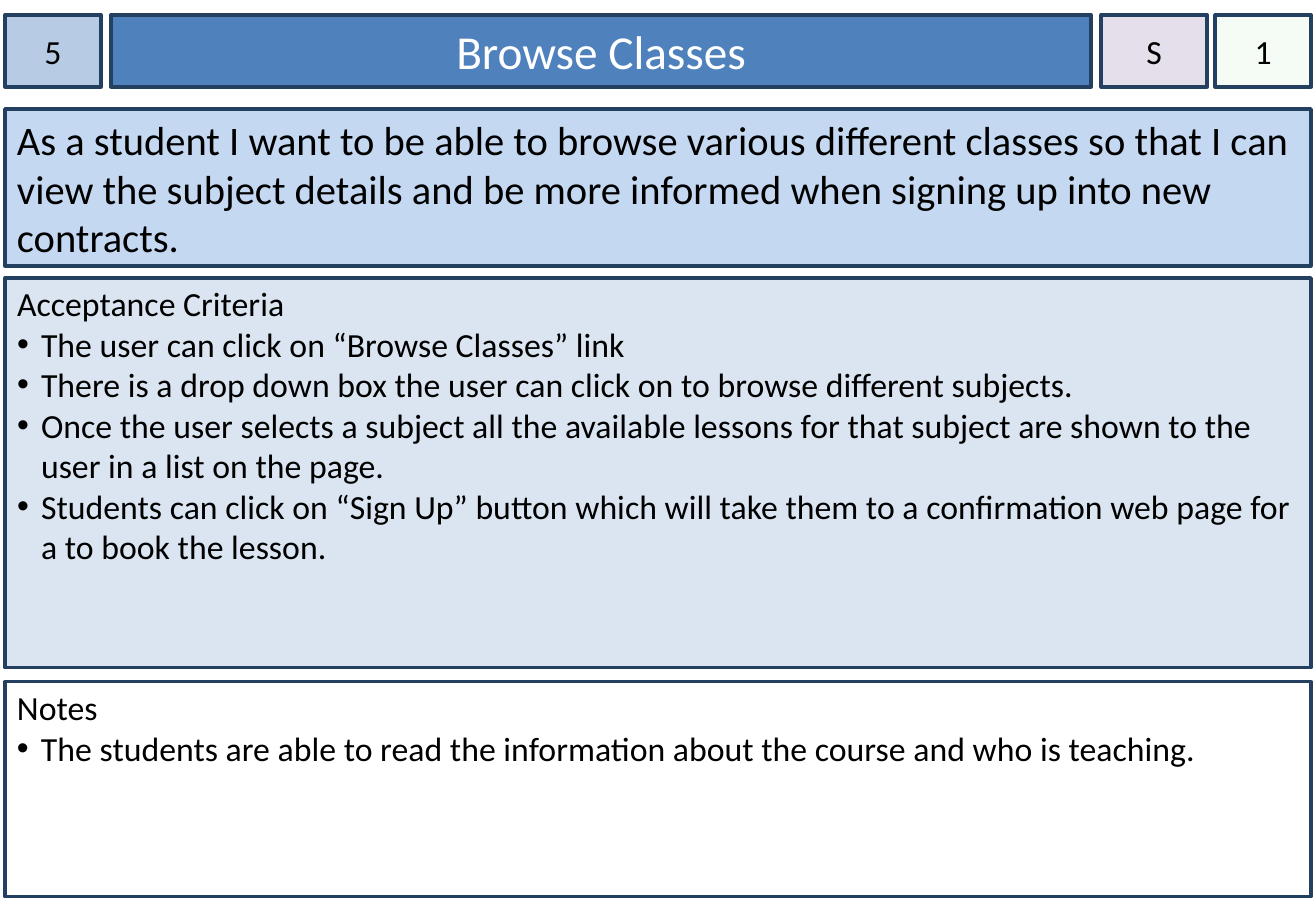
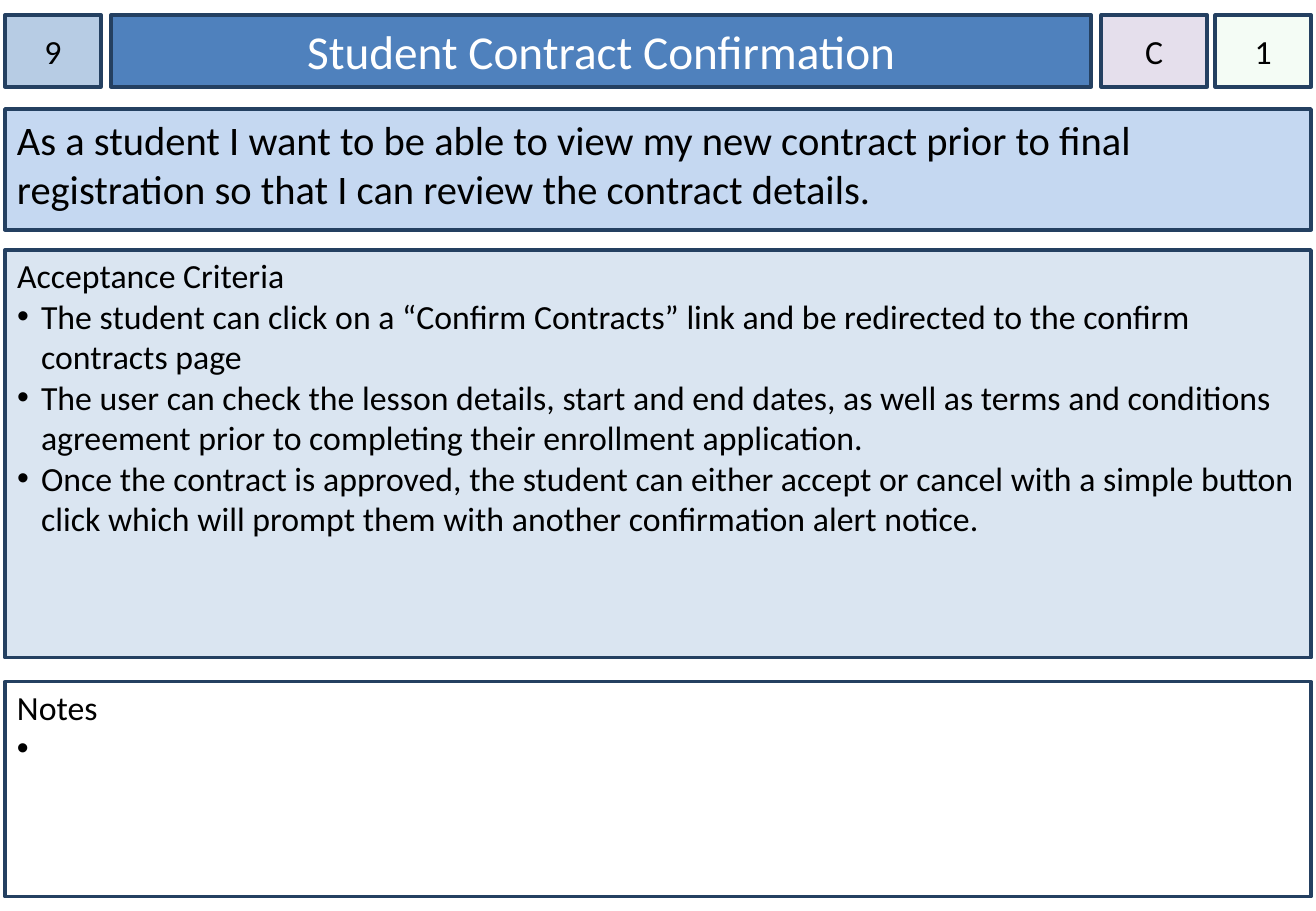
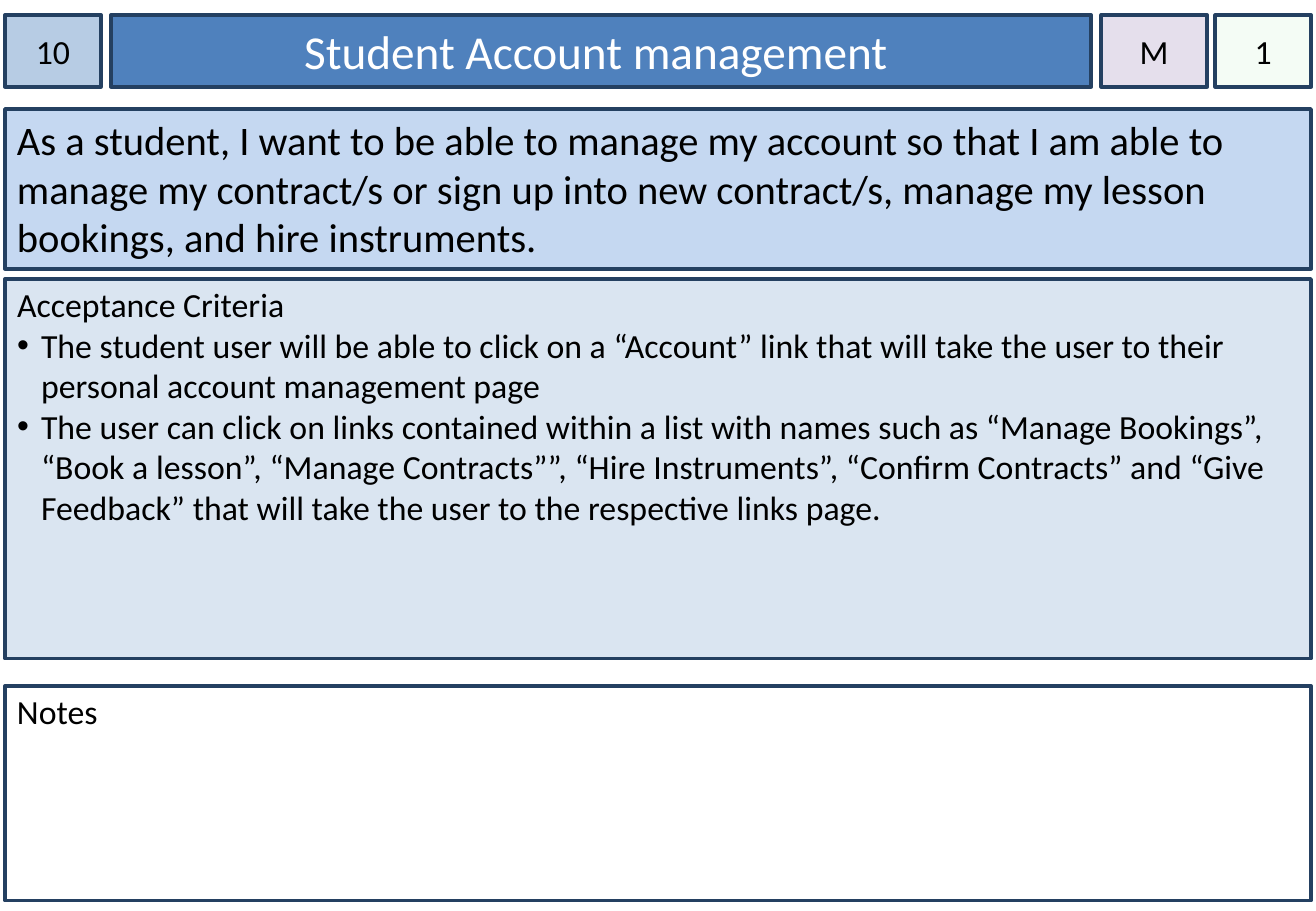
import dataclasses

import lxml.etree
import pptx
import pptx.dml.color
import pptx.enum.shapes
import pptx.enum.text
import pptx.oxml.ns
import pptx.util

SCALE = 914400 / 121.5
ALIGN = pptx.enum.text.PP_ALIGN
ANCHOR = pptx.enum.text.MSO_ANCHOR


@dataclasses.dataclass(frozen=True)
class Theme:
    """Colours, type and line sizes shared by all story cards."""

    font: str = "Calibri"
    ink: str = "000000"
    white: str = "FFFFFF"
    edge: str = "244061"
    number: str = "B7CCE4"
    title: str = "4F81BD"
    rank: str = "E5DFEC"
    sprint: str = "CCF0CD"
    story: str = "C5D8F1"
    checks: str = "DAE5F1"
    head_size: int = 28
    story_size: int = 24
    text_size: int = 20
    edge_width: int = 2


THEME = Theme()

LEFT, WIDTH = 5, 1306
HEAD_TOP, HEAD_HIGH = 15, 72
STORY_TOP, MEMO_HIGH = 109, 215
SIDE_PAD, TOP_PAD, LIST_PAD, INDENT = 12, 6, 5, 24


@dataclasses.dataclass(frozen=True)
class Card:
    """One user story; tops and heights are in pixels."""

    number: str
    title: str
    rank: str
    sprint: str
    story: str
    checks: tuple
    memos: tuple
    story_high: int
    checks_top: int
    checks_high: int
    memo_top: int


CARDS = (
    Card(
        "5", "Browse Classes", "S", "1",
        "As a student I want to be able to browse various different classes "
        "so that I can view the subject details and be more informed when "
        "signing up into new contracts.",
        (
            "The user can click on “Browse Classes” link",
            "There is a drop down box the user can click on to browse "
            "different subjects.",
            "Once the user selects a subject all the available lessons for "
            "that subject are shown to the user in a list on the page.",
            "Students can click on “Sign Up” button which will take them to "
            "a confirmation web page for a to book the lesson.",
        ),
        ("The students are able to read the information about the course "
         "and who is teaching.",),
        story_high=157, checks_top=278, checks_high=390, memo_top=682,
    ),
    Card(
        "9", "Student Contract Confirmation", "C", "1",
        "As a student I want to be able to view my new contract prior to "
        "final registration so that I can review the contract details.",
        (
            "The student can click on a “Confirm Contracts” link and be "
            "redirected to the confirm contracts page",
            "The user can check the lesson details, start and end dates, as "
            "well as terms and conditions agreement prior to completing "
            "their enrollment application.",
            "Once the contract is approved, the student can either accept "
            "or cancel with a simple button click which will prompt them "
            "with another confirmation alert notice.",
        ),
        (" ",),
        story_high=121, checks_top=250, checks_high=408, memo_top=682,
    ),
    Card(
        "10", "Student Account management ", "M", "1",
        "As a student, I want to be able to manage my account so that I am "
        "able to manage my contract/s or sign up into new contract/s, "
        "manage my lesson bookings, and hire instruments.",
        (
            "The student user will be able to click on a “Account” link "
            "that will take the user to their personal account management "
            "page",
            "The user can click on links contained within a list with names "
            "such as “Manage Bookings”, “Book a lesson”, “Manage "
            "Contracts””, “Hire Instruments”, “Confirm Contracts” and “Give "
            "Feedback” that will take the user to the respective links page.",
        ),
        (),
        story_high=160, checks_top=279, checks_high=380, memo_top=686,
    ),
)


def px(count):
    """Turn pixels into EMU."""
    return pptx.util.Emu(round(count * SCALE))


def rgb(code):
    """Turn a hex code into a colour."""
    return pptx.dml.color.RGBColor.from_string(code)


def add_box(slide):
    """Add a plain rectangle, to be placed by style_box."""
    kind = pptx.enum.shapes.MSO_SHAPE.RECTANGLE
    return slide.shapes.add_shape(kind, 0, 0, px(1), px(1))


def style_box(shape, left, top, width, height, fill):
    """Place a box and give it the shared fill and edge."""
    shape.left, shape.top = px(left), px(top)
    shape.width, shape.height = px(width), px(height)
    shape.shadow.inherit = False
    shape.fill.solid()
    shape.fill.fore_color.rgb = rgb(fill)
    shape.line.color.rgb = rgb(THEME.edge)
    shape.line.width = pptx.util.Pt(THEME.edge_width)


def set_text(shape, lines, size, color=THEME.ink, align=ALIGN.LEFT,
             anchor=ANCHOR.TOP, side=SIDE_PAD, top=TOP_PAD):
    """Fill a box with one paragraph per line in the shared font."""
    frame = shape.text_frame
    frame.text = "\n".join(lines)
    frame.word_wrap = True
    frame.auto_size = pptx.enum.text.MSO_AUTO_SIZE.NONE
    frame.vertical_anchor = anchor
    frame.margin_left = frame.margin_right = px(side)
    frame.margin_top, frame.margin_bottom = px(top), px(TOP_PAD)
    for para in frame.paragraphs:
        para.alignment = align
        para.space_before = para.space_after = pptx.util.Pt(0)
        for run in para.runs:
            run.font.name = THEME.font
            run.font.size = pptx.util.Pt(size)
            run.font.color.rgb = rgb(color)


def set_mark(para, marked):
    """Give a paragraph a hanging bullet, or none at all."""
    props = para._p.get_or_add_pPr()
    indent = px(INDENT) if marked else 0
    props.set("marL", str(indent))
    props.set("indent", str(-indent))
    name = pptx.oxml.ns.qn
    if not marked:
        lxml.etree.SubElement(props, name("a:buNone"))
        return
    tint = lxml.etree.SubElement(props, name("a:buClr"))
    lxml.etree.SubElement(tint, name("a:srgbClr"), val=THEME.ink)
    lxml.etree.SubElement(props, name("a:buFont"), typeface="Arial")
    lxml.etree.SubElement(props, name("a:buChar"), char="•")


def fill_list(shape, top, height, fill, head, items):
    """Make a full-width panel with a heading and a bullet list."""
    style_box(shape, LEFT, top, WIDTH, height, fill)
    set_text(shape, (head, *items), THEME.text_size, top=LIST_PAD)
    for index, para in enumerate(shape.text_frame.paragraphs):
        set_mark(para, index > 0)


def add_badge(slide, left, width, fill, label):
    """Add a small centred label to the head row."""
    badge = add_box(slide)
    style_box(badge, left, HEAD_TOP, width, HEAD_HIGH, fill)
    set_text(badge, (label,), THEME.text_size, align=ALIGN.CENTER,
             anchor=ANCHOR.MIDDLE, side=0)
    return badge


def set_alpha(shape, percent):
    """Make the solid fill of a shape partly clear."""
    name = pptx.oxml.ns.qn
    fill = shape._element.spPr.find(name("a:solidFill"))
    lxml.etree.SubElement(fill[0], name("a:alpha"), val=str(percent * 1000))


def add_head(slide, card):
    """Build the head row: number, title, rank and sprint."""
    add_badge(slide, LEFT, 96, THEME.number, card.number)
    title = slide.shapes.title
    style_box(title, 111, HEAD_TOP, 980, HEAD_HIGH, THEME.title)
    set_text(title, (card.title,), THEME.head_size, THEME.white,
             ALIGN.CENTER, ANCHOR.MIDDLE)
    add_badge(slide, 1101, 106, THEME.rank, card.rank)
    set_alpha(add_badge(slide, 1215, 96, THEME.sprint, card.sprint), 20)


def add_card(deck, card):
    """Build one story card slide."""
    slide = deck.slides.add_slide(deck.slide_layouts[1])
    add_head(slide, card)
    story = add_box(slide)
    style_box(story, LEFT, STORY_TOP, WIDTH, card.story_high, THEME.story)
    set_text(story, (card.story,), THEME.story_size)
    fill_list(slide.placeholders[1], card.checks_top, card.checks_high,
              THEME.checks, "Acceptance Criteria", card.checks)
    fill_list(add_box(slide), card.memo_top, MEMO_HIGH,
              THEME.white, "Notes", card.memos)


def main():
    """Build and save the deck."""
    deck = pptx.Presentation()
    deck.slide_width = pptx.util.Inches(10.83)
    deck.slide_height = pptx.util.Inches(7.5)
    for card in CARDS:
        add_card(deck, card)
    deck.save("out.pptx")


main()
